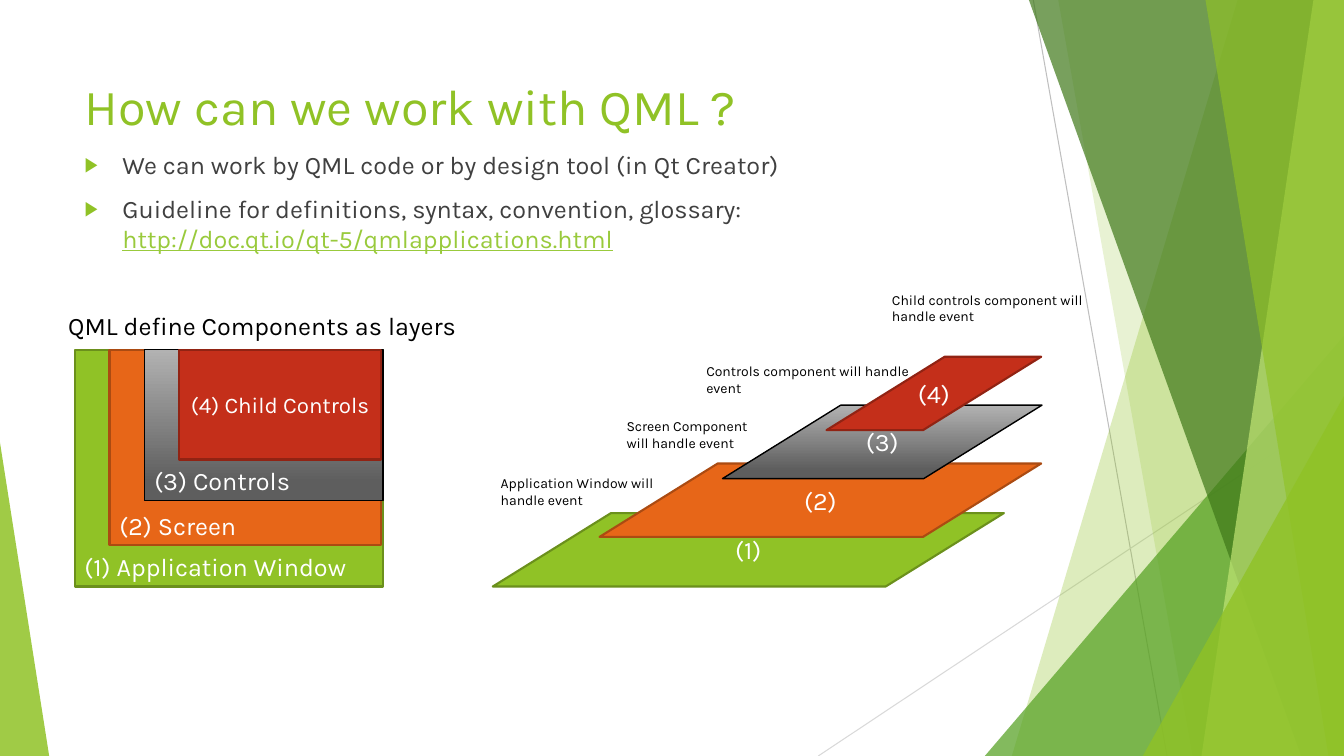
"""Build the slide that explains QML components as layers."""
from lxml import etree
from pptx import Presentation
from pptx import util as u
from pptx.dml.color import RGBColor
from pptx.enum import shapes, text
from pptx.oxml.ns import qn

FONT = "Karla"
GREEN, WHITE, BLACK = "90C226", "FFFFFF", "000000"
WIDTH, HEIGHT = 33.87, 19.05

TITLE = "How can we work with QML ?"
BULLETS = [
    [("We can work by QML code or by design tool (in Qt Creator)", "404040", False)],
    [("Guideline for definitions, syntax, convention, glossary: ", "404040", False),
     ("http://doc.qt.io/qt-5/qmlapplications.html", "99CA3C", True)],
]
HEADING = "QML define Components as layers"

HAIRLINES = [((26.04, 0), (29.41, HEIGHT), "BFBFBF"),
             ((WIDTH, 10.24), (20.62, HEIGHT), "D9D9D9")]
# kind, geometry, colour, opacity: bands hold top x and bottom x, triangles left, top, width, apex
FACETS = [
    ("band", (31.19, 25.5), GREEN, 30),
    ("band", (26.67, 30.05), GREEN, 20),
    ("triangle", (24.82, 8.46, 9.05, 1), "54A021", 72),
    ("band", (25.93, 32.79), "3F7819", 70),
    ("band", (33.1, 30.28), "C0E474", 70),
    ("band", (30.38, 33.48), GREEN, 65),
    ("triangle", (28.8, 9.98, 5.07, 1), GREEN, 80),
    ("triangle", (0, 11.15, 1.24, 0), GREEN, 85),
]

GRADIENT = [(0, "B2B2B2"), (0.88, "5E5E5E")]
LAYERS = [
    {"name": "Application Window", "fill": GREEN, "line": ("6B901C", 1.5),
     "right": 9.65, "bottom": 14.78, "sheet": (12.42, 12.93, 12.88),
     "note": "Application Window will handle event", "note_at": (12.37, 11.84, 4.42)},
    {"name": "Screen", "fill": "E76618", "line": ("AB4B12", 1.5),
     "right": 9.6, "bottom": 13.74, "sheet": (15.11, 11.68, 11.13),
     "note": "Screen Component will handle event", "note_at": (15.54, 10.39, 4.11)},
    {"name": "Controls", "fill": GRADIENT, "line": (BLACK, 1),
     "right": 9.65, "bottom": 12.62, "sheet": (18.21, 10.21, 8.05),
     "note": "Controls component will handle event", "note_at": (17.55, 9.02, 5.92)},
    {"name": "Child Controls", "fill": "C42F1A", "line": ("912313", 1.5),
     "right": 9.6, "bottom": 11.58, "sheet": (20.83, 8.99, 5.41),
     "note": "Child controls component will handle event", "note_at": (22.23, 7.21, 5.92)},
]
NEST_LEFT, NEST_TOP, NEST_STEP = 1.88, 8.81, 0.88
SHEET_HEIGHT, SHEET_SLANT, NOTE_HEIGHT = 1.85, 1.61, 1.12


def rgb(value):
    return RGBColor.from_string(value)


def box(*lengths):
    return [u.Cm(length) for length in lengths]


def add_run(paragraph, words, size, colour, underline=False):
    run = paragraph.add_run()
    run.text = words
    run.font.name = FONT
    run.font.size = u.Pt(size)
    run.font.color.rgb = rgb(colour)
    if underline:
        run.font.underline = True


def place(shape, *lengths):
    shape.left, shape.top, shape.width, shape.height = box(*lengths)


def add_bullet(paragraph):
    properties = paragraph._p.get_or_add_pPr()
    properties.set("marL", str(u.Cm(0.95)))
    properties.set("indent", str(-u.Cm(0.95)))
    colour = etree.SubElement(properties, qn("a:buClr"))
    etree.SubElement(colour, qn("a:srgbClr"), val=GREEN)
    etree.SubElement(properties, qn("a:buSzPct"), val="80000")
    etree.SubElement(properties, qn("a:buFont"), typeface="Arial")
    etree.SubElement(properties, qn("a:buChar"), char="▶")


def add_hairline(slide, start, end, colour):
    line = slide.shapes.add_connector(shapes.MSO_CONNECTOR.STRAIGHT, *box(*start, *end))
    line.line.color.rgb = rgb(colour)
    line.line.width = u.Pt(0.75)
    etree.SubElement(line.element.spPr, qn("a:effectLst"))


def add_facet(slide, kind, geometry, colour, opacity):
    if kind == "band":
        top, bottom = geometry
        builder = slide.shapes.build_freeform(u.Cm(top), 0)
        corners = [(WIDTH, 0), (WIDTH, HEIGHT), (bottom, HEIGHT)]
        builder.add_line_segments([box(*corner) for corner in corners])
        shape = builder.convert_to_shape()
    else:
        left, top, width, apex = geometry
        shape = slide.shapes.add_shape(shapes.MSO_SHAPE.ISOSCELES_TRIANGLE,
                                       *box(left, top, width, HEIGHT - top))
        shape.adjustments[0] = apex
    shape.shadow.inherit = False
    shape.line.fill.background()
    shape.fill.solid()
    shape.fill.fore_color.rgb = rgb(colour)
    fill = shape.element.spPr.find(qn("a:solidFill"))
    etree.SubElement(fill[0], qn("a:alpha"), val=str(opacity * 1000))


def add_layer_shape(slide, preset, lengths, layer, words, size, anchor, alignment):
    shape = slide.shapes.add_shape(preset, *box(*lengths))
    shape.shadow.inherit = False
    if isinstance(layer["fill"], str):
        shape.fill.solid()
        shape.fill.fore_color.rgb = rgb(layer["fill"])
    else:
        shape.fill.gradient()
        shape.fill.gradient_angle = 270
        for stop, (position, colour) in zip(shape.fill.gradient_stops, layer["fill"]):
            stop.position = position
            stop.color.rgb = rgb(colour)
    colour, width = layer["line"]
    shape.line.color.rgb = rgb(colour)
    shape.line.width = u.Pt(width)
    shape.text_frame.vertical_anchor = anchor
    paragraph = shape.text_frame.paragraphs[0]
    paragraph.alignment = alignment
    add_run(paragraph, words, size, WHITE)
    return shape


def add_label(slide, lengths, words, size, wrap):
    label = slide.shapes.add_textbox(*box(*lengths))
    label.text_frame.word_wrap = wrap
    add_run(label.text_frame.paragraphs[0], words, size, BLACK)


def fill_placeholders(slide):
    title, body = slide.placeholders
    place(title, 1.88, 1.7, 23.88, 1.93)
    place(body, 1.88, 3.63, 23.88, 3)
    for holder, anchor in ((title, text.MSO_ANCHOR.MIDDLE), (body, text.MSO_ANCHOR.TOP)):
        holder.text_frame.auto_size = text.MSO_AUTO_SIZE.NONE
        holder.text_frame.vertical_anchor = anchor
    heading = title.text_frame.paragraphs[0]
    heading.alignment = text.PP_ALIGN.LEFT
    add_run(heading, TITLE, 36, GREEN)
    for index, runs in enumerate(BULLETS):
        frame = body.text_frame
        paragraph = frame.add_paragraph() if index else frame.paragraphs[0]
        add_bullet(paragraph)
        paragraph.space_before = u.Pt(10 if index else 0)
        for words, colour, underline in runs:
            add_run(paragraph, words, 18, colour, underline)


def add_layers(slide):
    centre, middle = text.PP_ALIGN.CENTER, text.MSO_ANCHOR.MIDDLE
    for index, layer in enumerate(LAYERS):
        left = NEST_LEFT + index * NEST_STEP
        lengths = (left, NEST_TOP, layer["right"] - left, layer["bottom"] - NEST_TOP)
        innermost = index == len(LAYERS) - 1
        style = (16, middle, centre) if innermost else (
            18, text.MSO_ANCHOR.BOTTOM, text.PP_ALIGN.LEFT)
        add_layer_shape(slide, shapes.MSO_SHAPE.RECTANGLE, lengths, layer,
                        f"({index + 1}) {layer['name']}", *style)
    for number, layer in enumerate(LAYERS, 1):
        sheet = add_layer_shape(slide, shapes.MSO_SHAPE.PARALLELOGRAM,
                                (*layer["sheet"], SHEET_HEIGHT), layer,
                                f"({number})", 18, middle, centre)
        sheet.adjustments[0] = SHEET_SLANT
    for layer in LAYERS:
        add_label(slide, (*layer["note_at"], NOTE_HEIGHT), layer["note"], 10, True)


def main():
    presentation = Presentation()
    presentation.slide_width, presentation.slide_height = box(WIDTH, HEIGHT)
    slide = presentation.slides.add_slide(presentation.slide_layouts[1])
    for hairline in HAIRLINES:
        add_hairline(slide, *hairline)
    for facet in FACETS:
        add_facet(slide, *facet)
    fill_placeholders(slide)
    add_label(slide, (1.47, 7.7, 10.31, 1.02), HEADING, 18, False)
    add_layers(slide)
    presentation.save("out.pptx")


if __name__ == "__main__":
    main()
